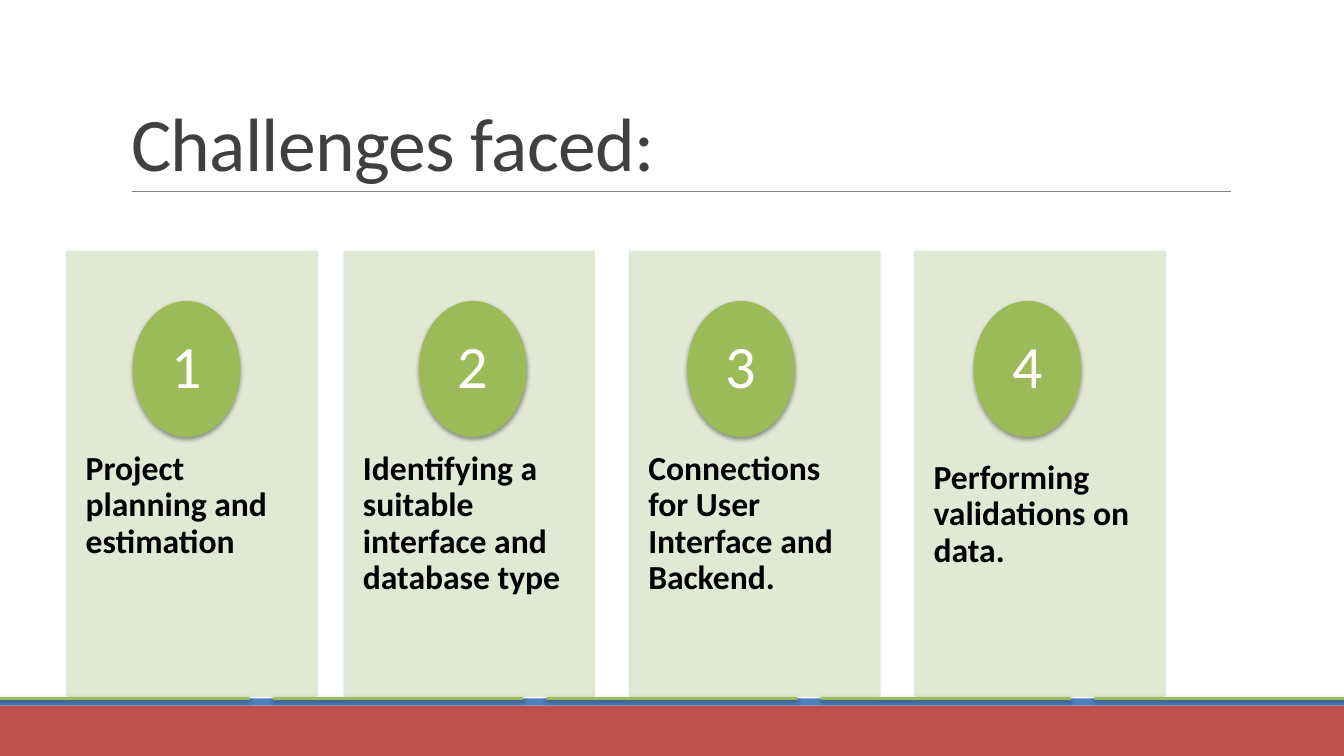
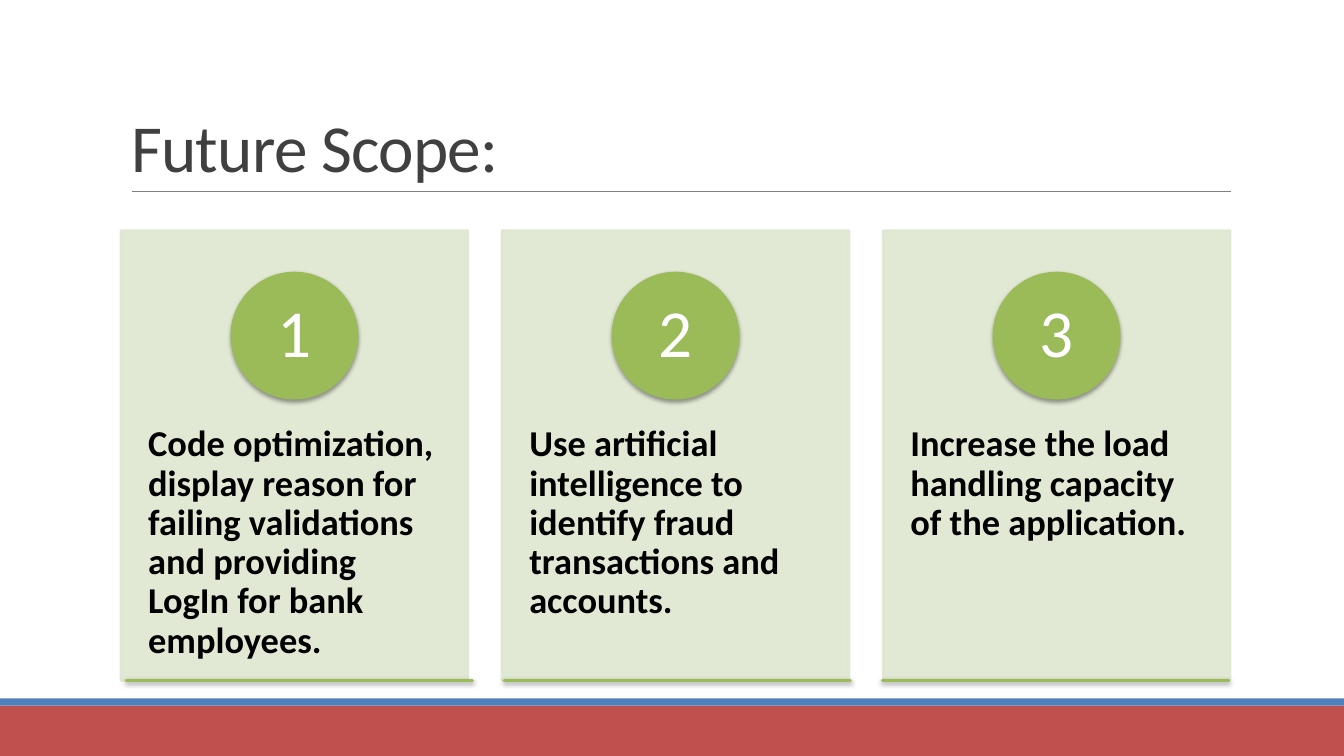
from dataclasses import dataclass

from pptx import Presentation
from pptx import util as u
from pptx.dml.color import RGBColor
from pptx.enum import shapes, text
from pptx.oxml.ns import qn
from lxml import etree


@dataclass(frozen=True)
class Theme:
    font: str = "Calibri"
    band: str = "C0504D"
    stripe: str = "4F81BD"
    rule: str = "808080"
    title: str = "404040"
    card: str = "DEE7D1"
    accent: str = "9BBB59"
    body: str = "000000"
    badge_text: str = "FFFFFF"
    outline: float = 2
    card_alpha: int = 90
    shadow_alpha: int = 38


@dataclass(frozen=True)
class CardStyle:
    """Measures shared by all cards of one slide."""
    size: tuple
    badge_size: tuple
    badge_top: float
    text_side: float
    text_bottom: float
    body_pt: float
    body_after: float
    badge_pt: float
    badge_after: float
    badge_side: float


THEME = Theme()
SLIDE_W, SLIDE_H = 13.33, 7.5
TITLE_BOX = (1.2, 0.31, 11, 1.59)

CHALLENGE_STYLE = CardStyle((2.47, 4.4), (1.04, 1.32), 0.5, 0.18, 0.43,
                            24, 8.4, 43, 15.1, 0.08)
SCOPE_STYLE = CardStyle((3.44, 4.46), (1.24, 1.24), 0.42, 0.27, 0.44,
                        26, 9.1, 48, 16.8, 0.1)

# Card left, badge left, top of the text inside the card, wording
CHALLENGES = [
    (0.67, 1.33, 1.98, "Project planning and estimation"),
    (3.42, 4.17, 1.98, "Identifying a suitable interface and database type"),
    (6.25, 6.83, 1.98, "Connections for User Interface and Backend."),
    (9.08, 9.67, 2.07, "Performing validations on data."),
]
SCOPE = [
    "Code optimization, display reason for failing validations "
    "and providing LogIn for bank employees.",
    "Use artificial intelligence to identify fraud transactions and accounts.",
    "Increase the load handling capacity of the application.",
]


def rgb(color):
    return RGBColor.from_string(color)


def inches(box):
    return [u.Inches(length) for length in box]


def set_alpha(color_parent, percent):
    for color in color_parent.iter(qn("a:srgbClr")):
        etree.SubElement(color, qn("a:alpha"), val=str(percent * 1000))


def add_soft_shadow(shape):
    effects = shape.element.spPr.find(qn("a:effectLst"))
    shadow = etree.SubElement(effects, qn("a:outerShdw"), blurRad="40000",
                              dist="20000", dir="5400000", rotWithShape="0")
    etree.SubElement(shadow, qn("a:srgbClr"), val="000000")
    set_alpha(shadow, THEME.shadow_alpha)


def add_filled(slide, preset, box, color, outlined=True):
    shape = slide.shapes.add_shape(preset, *inches(box))
    shape.shadow.inherit = False
    shape.fill.solid()
    shape.fill.fore_color.rgb = rgb(color)
    if outlined:
        shape.line.color.rgb = rgb(color)
        shape.line.width = u.Pt(THEME.outline)
    else:
        shape.line.fill.background()
    return shape


def write(shape, wording, size, color, anchor, align, spacing, after=0,
          insets=(0.1, 0.05, 0.1, 0.05), bold=False):
    frame = shape.text_frame
    frame.word_wrap = True
    frame.auto_size = text.MSO_AUTO_SIZE.NONE
    frame.vertical_anchor = anchor
    (frame.margin_left, frame.margin_top,
     frame.margin_right, frame.margin_bottom) = inches(insets)
    paragraph = frame.paragraphs[0]
    paragraph.alignment = align
    paragraph.line_spacing = spacing
    paragraph.space_before = u.Pt(0)
    paragraph.space_after = u.Pt(after)
    run = paragraph.add_run()
    run.text = wording
    run.font.name = THEME.font
    run.font.size = u.Pt(size)
    run.font.bold = bold
    run.font.color.rgb = rgb(color)
    return run


def dress_layout(layout, slide):
    """Place the title box, bands and title rule on the layout."""
    title = layout.placeholders[0]
    title.left, title.top, title.width, title.height = inches(TITLE_BOX)

    rect = shapes.MSO_SHAPE.RECTANGLE
    band = add_filled(slide, rect, (0, 7, SLIDE_W, 0.5), THEME.band, False)
    stripe = add_filled(slide, rect, (0, 6.93, SLIDE_W, 0.07), THEME.stripe, False)
    rule = slide.shapes.add_connector(shapes.MSO_CONNECTOR.STRAIGHT,
                                      *inches((1.31, 1.9, 12.21, 1.9)))
    rule.line.color.rgb = rgb(THEME.rule)
    rule.line.width = u.Pt(0.5)
    etree.SubElement(rule.element.spPr, qn("a:effectLst"))

    # Move the shared parts behind the layout's placeholders
    for index, part in enumerate((band, stripe, rule)):
        part.element.xpath(".//p:cNvPr")[0].set("id", str(100 + index))
        layout.shapes.element.insert(2 + index, part.element)


def add_title(slide, wording, size):
    run = write(slide.shapes.title, wording, size, THEME.title,
                text.MSO_ANCHOR.BOTTOM, text.PP_ALIGN.LEFT, 0.85)
    run.font._element.set("spc", "-50")


def add_card(slide, left, top, badge_left, text_top, number, wording, style):
    # Panel with its wording
    panel = add_filled(slide, shapes.MSO_SHAPE.RECTANGLE,
                       (left, top, *style.size), THEME.card)
    set_alpha(panel.element.spPr, THEME.card_alpha)
    write(panel, wording, style.body_pt, THEME.body, text.MSO_ANCHOR.TOP,
          text.PP_ALIGN.LEFT, 0.9, style.body_after,
          (style.text_side, text_top, style.text_side, style.text_bottom), True)

    # Numbered badge
    badge = add_filled(slide, shapes.MSO_SHAPE.OVAL,
                       (badge_left, top + style.badge_top, *style.badge_size),
                       THEME.accent)
    add_soft_shadow(badge)
    write(badge, str(number), style.badge_pt, THEME.badge_text,
          text.MSO_ANCHOR.MIDDLE, text.PP_ALIGN.CENTER, 0.9, style.badge_after,
          (style.badge_side, 0.01, style.badge_side, 0.01))


def add_underlines(slide, left, top, width, pitch, count):
    for index in range(count):
        underline = add_filled(slide, shapes.MSO_SHAPE.RECTANGLE,
                               (left + index * pitch, top, width, 0), THEME.accent)
        underline.height = u.Emu(72)
        add_soft_shadow(underline)


def build_challenges(slide):
    add_title(slide, "Challenges faced:", 54)
    for number, (left, badge_left, text_top, wording) in enumerate(CHALLENGES, 1):
        add_card(slide, left, 2.5, badge_left, text_top, number, wording,
                 CHALLENGE_STYLE)
    width = CHALLENGE_STYLE.size[0]
    add_underlines(slide, 0, 6.93, width, (SLIDE_W - width) / 4, 5)


def build_scope(slide):
    add_title(slide, "Future Scope:", 48)
    width = SCOPE_STYLE.size[0]
    pitch = 3.78
    for index, wording in enumerate(SCOPE):
        left = 1.2 + index * pitch
        badge_left = left + (width - SCOPE_STYLE.badge_size[0]) / 2
        add_card(slide, left, 2.29, badge_left, 1.93, index + 1, wording,
                 SCOPE_STYLE)
    add_underlines(slide, 1.25, 6.75, width, 3.75, len(SCOPE))


def main():
    deck = Presentation()
    deck.slide_width, deck.slide_height = inches((SLIDE_W, SLIDE_H))
    layout = deck.slide_layouts.get_by_name("Title Only")
    challenges, scope = (deck.slides.add_slide(layout) for _ in range(2))
    dress_layout(layout, challenges)
    build_challenges(challenges)
    build_scope(scope)
    deck.save("out.pptx")


if __name__ == "__main__":
    main()
